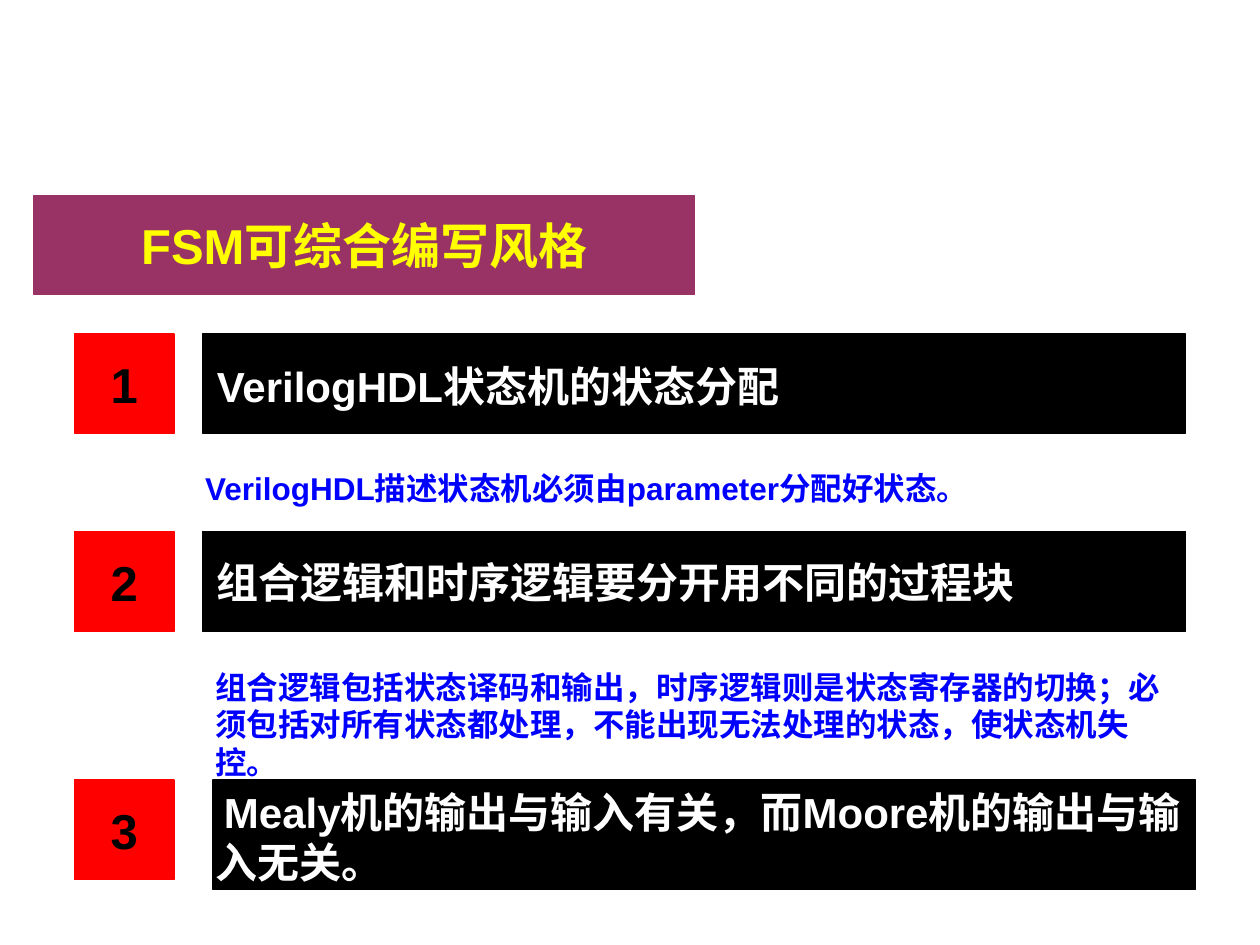
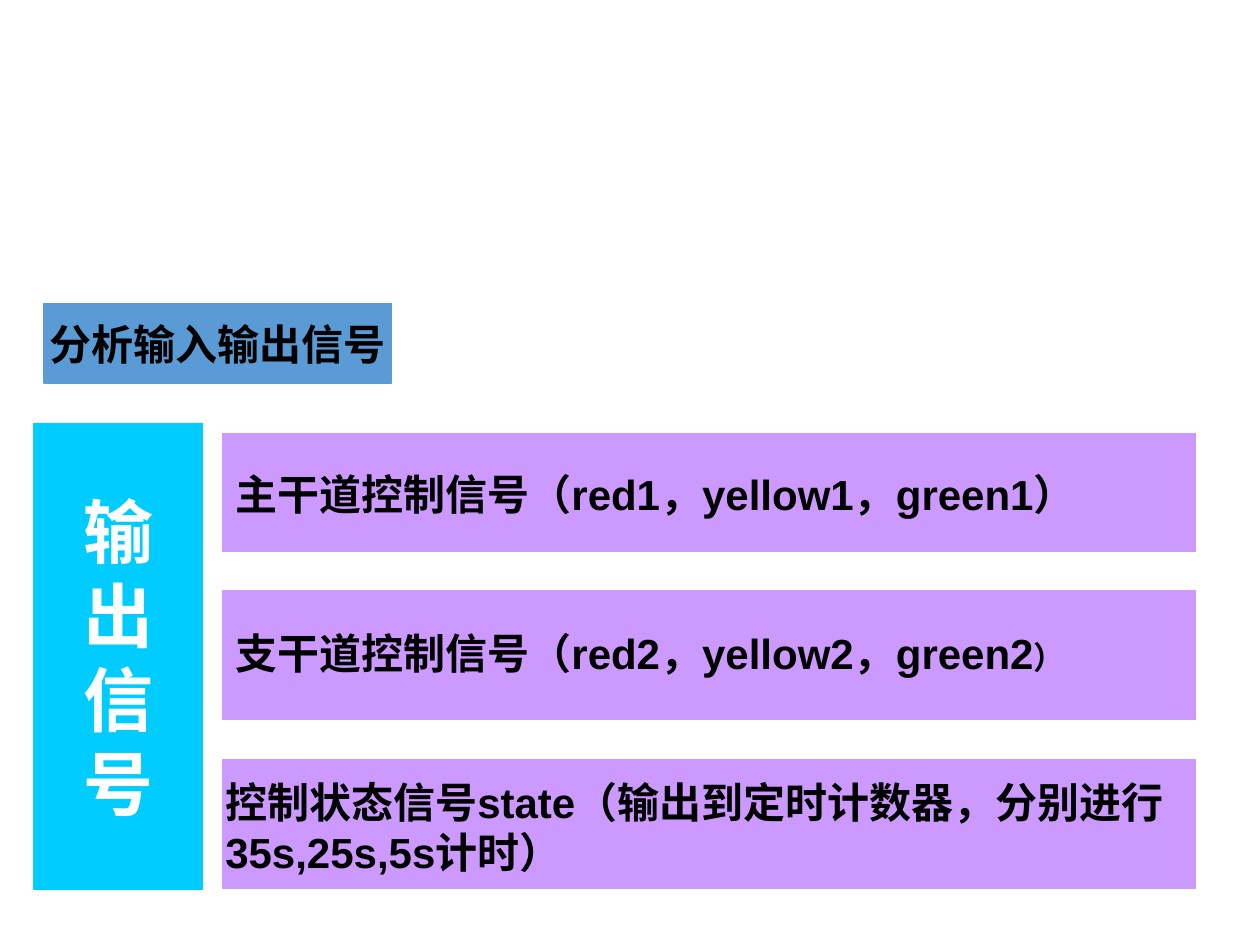
"""Build two slides on writing FSMs and on the output signals of a traffic light."""
from dataclasses import dataclass

from pptx import Presentation
from pptx.dml.color import RGBColor as Color
from pptx.enum.shapes import MSO_SHAPE as Shape
from pptx.enum.text import MSO_ANCHOR as Anchor, MSO_AUTO_SIZE as AutoSize, PP_ALIGN as Align
from pptx.util import Inches, Pt


@dataclass(frozen=True)
class Theme:
    face: str = "Arial"
    black: str = "000000"
    white: str = "FFFFFF"
    plum: str = "993366"
    yellow: str = "FFFF00"
    red: str = "FF0000"
    blue: str = "0000FF"
    steel: str = "5B9BD5"
    lilac: str = "CC99FF"
    cyan: str = "00CCFF"
    note: int = 18
    label: int = 24
    title: int = 28
    side: int = 40


theme = Theme()
deck = Presentation()
deck.slide_width, deck.slide_height = Inches(10), Inches(7.5)
cell = deck.slide_width / 100
blank = deck.slide_layouts[6]


def write(box, lines, color, size, align, wrap=False):
    """Fill a box with lines, each a list of (text, size) spans or one plain text."""
    frame = box.text_frame
    frame.word_wrap = wrap
    for number, line in enumerate(lines):
        para = frame.paragraphs[0] if number == 0 else frame.add_paragraph()
        para.alignment = align
        para._p.get_or_add_pPr().set("hangingPunct", "0")
        for text, points in [(line, size)] if isinstance(line, str) else line:
            span = para.add_run()
            span.text = text
            span.font.color.rgb = Color.from_string(color)
            for name, value in {"name": theme.face, "size": Pt(points), "bold": True}.items():
                setattr(span.font, name, value)


def place(page, area, fill=None):
    """Add a filled rectangle, or a text box when no fill is given, on the grid."""
    spot = [round(cell * share) for share in area]
    if fill is None:
        box = page.shapes.add_textbox(*spot)
        box.text_frame.auto_size = AutoSize.SHAPE_TO_FIT_TEXT
        return box
    box = page.shapes.add_shape(Shape.RECTANGLE, *spot)
    box.shadow.inherit = False
    box.fill.solid()
    box.fill.fore_color.rgb = box.line.color.rgb = Color.from_string(fill)
    box.line.width = Pt(0.75)
    box.text_frame.vertical_anchor = Anchor.MIDDLE
    return box


page = deck.slides.add_slide(blank)
title = place(page, (2.7, 15.5, 52.4, 7.9), theme.plum)
write(title, ["FSM可综合编写风格"], theme.yellow, theme.title, Align.CENTER)

rules = [
    (26.5, 16.1, 7.9, (15.3, 28.1, 76.4, 5), " VerilogHDL状态机的状态分配"),
    (42.2, 16.1, 7.9, (16.2, 43.7, 70, 5), "组合逻辑和时序逻辑要分开用不同的过程块"),
    (61.9, 16.9, 8.7, (16.1, 61.9, 78.7, 9),
     [(" ", theme.note), ("Mealy机的输出与输入有关，而Moore机的输出与输入无关。", theme.label)]),
]
for number, (top, left, height, area, text) in enumerate(rules, 1):
    place(page, (left, top, 78, height), theme.black)
    tile = place(page, (5.9, top, 7.9, 7.9), theme.red)
    write(tile, [str(number)], theme.black, theme.title, Align.CENTER)
    write(place(page, area), [text], theme.white, theme.label, Align.LEFT, wrap=True)

notes = [
    ((15.3, 36.7, 70, 4), "VerilogHDL描述状态机必须由parameter分配好状态。"),
    ((16.1, 52.5, 77.2, 7),
     "组合逻辑包括状态译码和输出，时序逻辑则是状态寄存器的切换；"
     "必须包括对所有状态都处理，不能出现无法处理的状态，使状态机失控。"),
]
for area, text in notes:
    write(place(page, area), [text], theme.blue, theme.note, Align.LEFT, wrap=True)

page = deck.slides.add_slide(blank)
heading = place(page, (3.5, 24.1, 27.6, 6.3), theme.steel)
write(heading, ["分析输入输出信号"], theme.black, theme.label, Align.CENTER)
side = place(page, (2.7, 33.6, 13.4, 37), theme.cyan)
write(side, list("输出信号"), theme.white, theme.side, Align.CENTER)

signals = [
    (34.4, 9.4, (17.7, 36.7, 77.2, 5), ["主干道控制信号（red1，yellow1，green1）"]),
    (46.9, 10.2, (17.7, 49.3, 77.2, 5),
     [[("支干道控制信号（red2，yellow2，green2", theme.label), ("）", theme.note)]]),
    (60.3, 10.2, (16.9, 61.1, 80, 9),
     ["控制状态信号state（输出到定时计数器，分别进行", "35s,25s,5s计时）"]),
]
for top, height, area, lines in signals:
    place(page, (17.7, top, 77.2, height), theme.lilac)
    write(place(page, area), lines, theme.black, theme.label, Align.LEFT, wrap=True)

deck.save("out.pptx")
